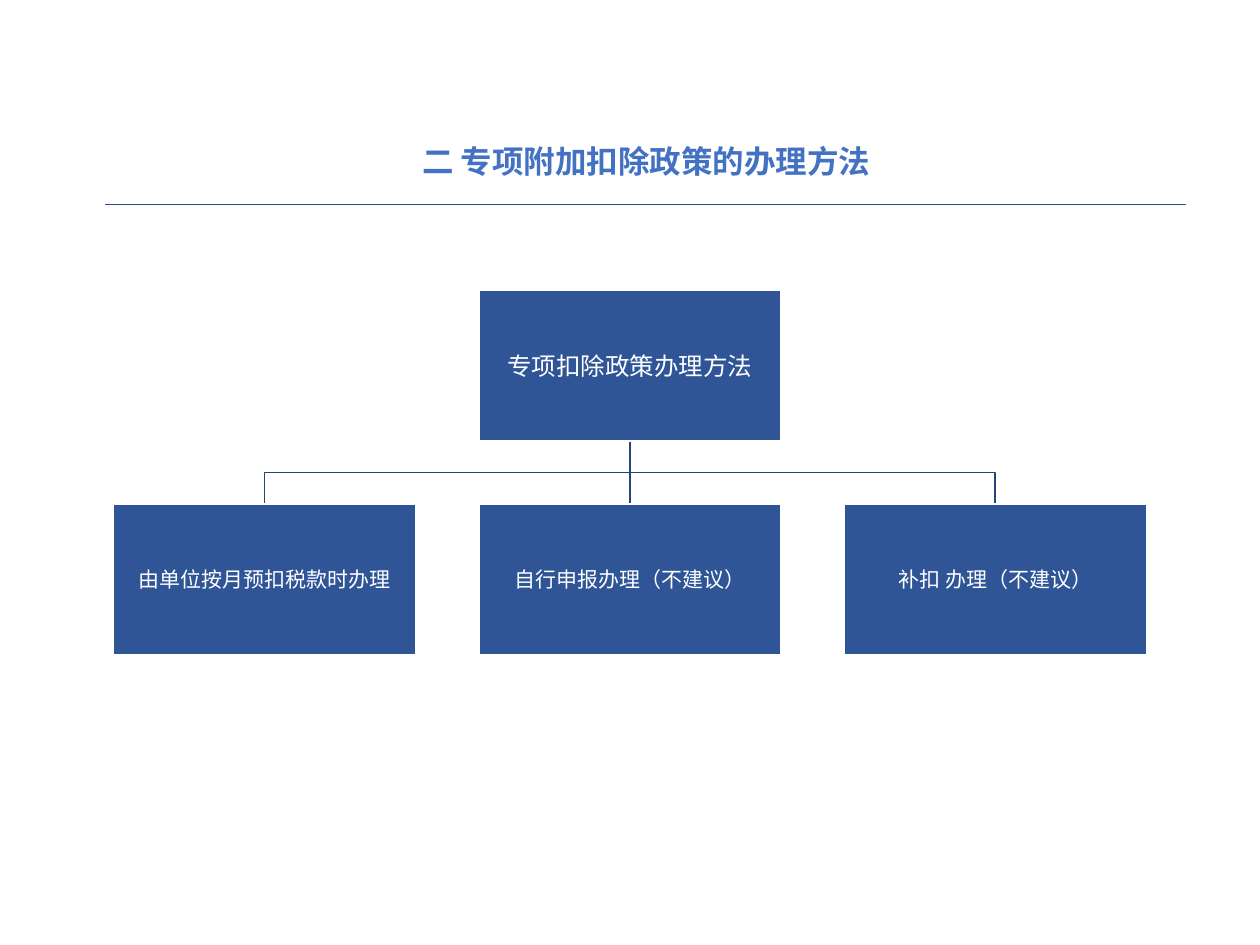
from dataclasses import dataclass

from lxml import etree
from pptx import Presentation
from pptx.dml.color import RGBColor
from pptx.enum import shapes, text
from pptx.oxml.ns import qn
from pptx.util import Pt


@dataclass(frozen=True)
class Theme:
    heading: str = "4371C4"
    rule: str = "2B4D8A"
    box: str = "2F5597"
    branch: str = "264479"
    light: str = "FFFFFF"
    latin: str = "Arial"
    chinese: str = "Noto Sans CJK SC"
    heading_size: float = 18
    root_size: float = 14
    method_size: float = 12


THEME = Theme()

HEADING = "二 专项附加扣除政策的办理方法"
ROOT = "专项扣除政策办理方法"
METHODS = ["由单位按月预扣税款时办理", "自行申报办理（不建议）", "补扣 办理（不建议）"]

SLIDE_W, SLIDE_H = 720, 540
BOX_W, BOX_H = 172.8, 86.4
COLUMN_GAP, ROW_GAP = 36, 36
ROOT_TOP = 165.6
METHOD_TOP = ROOT_TOP + BOX_H + ROW_GAP
CENTRE = SLIDE_W / 2


def rgb(value):
    return RGBColor.from_string(value)


def style_font(paragraph, face, size, color, bold=False):
    for run in paragraph.runs:
        run.font.name = face
        run.font.size = Pt(size)
        run.font.bold = bold
        run.font.color.rgb = rgb(color)
        east_asian = etree.SubElement(run.font._element, qn("a:ea"))
        east_asian.set("typeface", THEME.chinese)


def set_margins(frame, side, end):
    frame.margin_left = frame.margin_right = Pt(side)
    frame.margin_top = frame.margin_bottom = Pt(end)


def style_line(part, color, width):
    part.line.color.rgb = rgb(color)
    part.line.width = Pt(width)


def add_heading(slide):
    heading = slide.shapes.title
    heading.left, heading.top = Pt(241.2), Pt(77)
    heading.width, heading.height = Pt(285.8), Pt(29.5)
    frame = heading.text_frame
    frame.text = HEADING
    frame.word_wrap = True
    frame.auto_size = text.MSO_AUTO_SIZE.NONE
    frame.vertical_anchor = text.MSO_ANCHOR.MIDDLE
    set_margins(frame, 0, 3.6)
    frame.paragraphs[0].alignment = text.PP_ALIGN.LEFT
    style_font(frame.paragraphs[0], THEME.chinese, THEME.heading_size, THEME.heading, True)


def add_box(slide, label, centre, top, size):
    box = slide.shapes.add_shape(
        shapes.MSO_SHAPE.RECTANGLE, Pt(centre - BOX_W / 2), Pt(top), Pt(BOX_W), Pt(BOX_H)
    )
    box.shadow.inherit = False
    box.fill.solid()
    box.fill.fore_color.rgb = rgb(THEME.box)
    style_line(box, THEME.light, 1)
    frame = box.text_frame
    frame.text = label
    frame.word_wrap = True
    frame.vertical_anchor = text.MSO_ANCHOR.MIDDLE
    set_margins(frame, 0.7, 0.7)
    frame.paragraphs[0].alignment = text.PP_ALIGN.CENTER
    style_font(frame.paragraphs[0], THEME.latin, size, THEME.light)
    return box


def add_line(slide, start, end, color, width):
    line = slide.shapes.add_connector(
        shapes.MSO_CONNECTOR.STRAIGHT, *(Pt(value) for value in (*start, *end))
    )
    style_line(line, color, width)
    etree.SubElement(line._element.spPr, qn("a:effectLst"))
    return line


def add_elbow(slide, centre):
    fork, bend = METHOD_TOP - ROW_GAP, METHOD_TOP - ROW_GAP / 2
    outline = slide.shapes.build_freeform(Pt(CENTRE), Pt(fork))
    corners = [(CENTRE, bend), (centre, bend), (centre, METHOD_TOP)]
    outline.add_line_segments([(Pt(x), Pt(y)) for x, y in corners], close=False)
    elbow = outline.convert_to_shape()
    elbow.shadow.inherit = False
    elbow.fill.background()
    style_line(elbow, THEME.branch, 1)


def main():
    deck = Presentation()
    deck.slide_width, deck.slide_height = Pt(SLIDE_W), Pt(SLIDE_H)
    slide = deck.slides.add_slide(deck.slide_layouts[5])

    add_heading(slide)
    add_line(slide, (60, 117), (677.5, 117), THEME.rule, 0.5)

    middle = (len(METHODS) - 1) / 2
    centres = [CENTRE + (i - middle) * (BOX_W + COLUMN_GAP) for i in range(len(METHODS))]
    for centre in centres:
        if centre != CENTRE:
            add_elbow(slide, centre)
    trunk = add_line(
        slide, (CENTRE, METHOD_TOP - ROW_GAP), (CENTRE, METHOD_TOP), THEME.branch, 1
    )

    root = add_box(slide, ROOT, CENTRE, ROOT_TOP, THEME.root_size)
    trunk.begin_connect(root, 2)
    for label, centre in zip(METHODS, centres):
        method = add_box(slide, label, centre, METHOD_TOP, THEME.method_size)
        if centre == CENTRE:
            trunk.end_connect(method, 0)

    deck.save("out.pptx")


if __name__ == "__main__":
    main()
